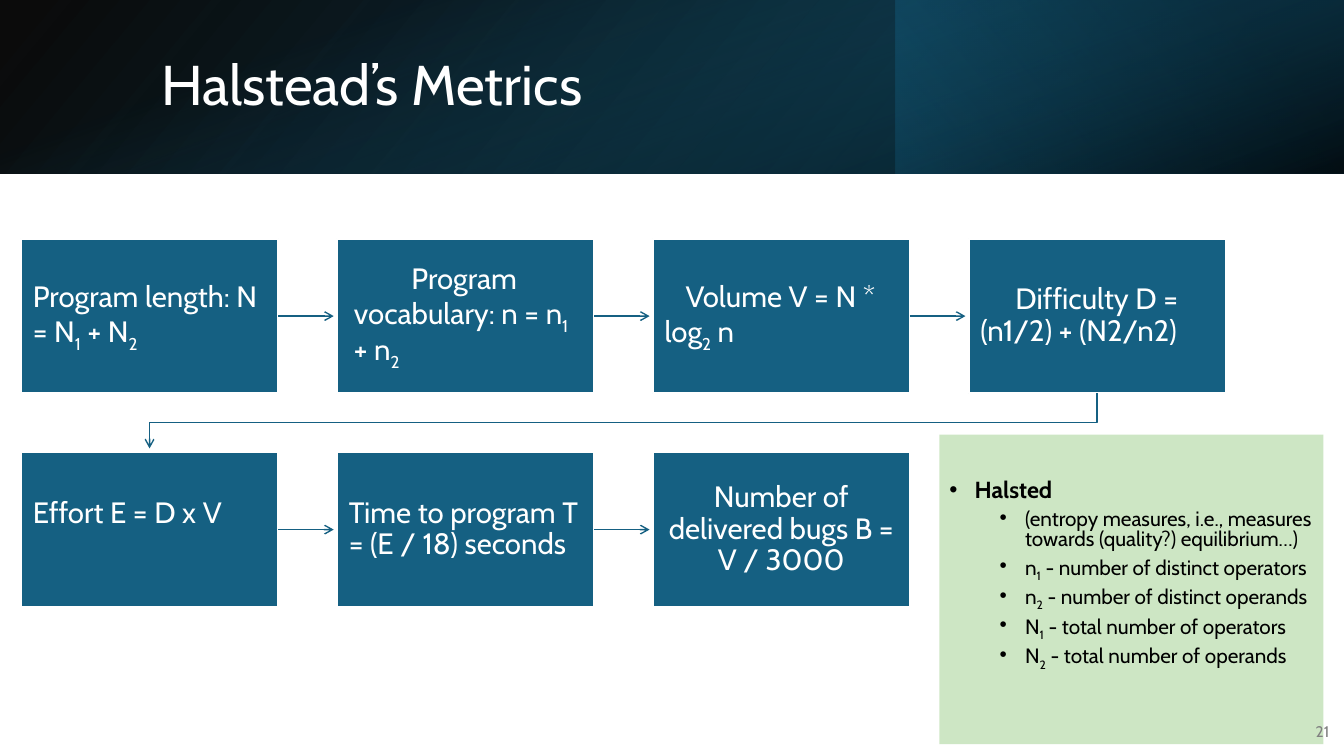
"""Build the slide that chains Halstead's metrics from program length to delivered bugs."""
from dataclasses import dataclass

from lxml.etree import SubElement
from pptx import Presentation
from pptx.dml.color import RGBColor as Rgb
from pptx.enum.shapes import MSO_CONNECTOR as Connector, MSO_SHAPE as Shape
from pptx.enum.text import MSO_ANCHOR as Anchor, MSO_AUTO_SIZE as AutoSize, PP_ALIGN as Align
from pptx.oxml.ns import qn
from pptx.util import Cm, Pt


@dataclass(frozen=True)
class Theme:
    font: str = "Cabin"
    blue: str = "156082"
    deep_blue: str = "104862"
    night_blue: str = "0B3041"
    green: str = "4EA72E"
    gray: str = "808080"
    black: str = "000000"
    white: str = "FFFFFF"
    title_size: float = 40
    step_size: float = 21
    topic_size: float = 16.6
    detail_size: float = 14.8
    number_size: float = 11


@dataclass(frozen=True)
class Stop:
    position: float
    color: str
    opacity: int


@dataclass(frozen=True)
class Band:
    left: float
    width: float
    angle: int
    stops: tuple[Stop, Stop]


@dataclass(frozen=True)
class Step:
    formula: str
    column: int
    row: int
    align: Align = Align.LEFT
    margin: float = 0
    first_indent: float = 0
    bottom_inset: float = 0.33

    @property
    def left(self) -> float:
        return 0.53 + 7.96 * self.column

    @property
    def top(self) -> float:
        return 6.02 + 5.38 * self.row

    @property
    def center(self) -> float:
        return self.left + STEP_WIDTH / 2

    @property
    def middle(self) -> float:
        return self.top + STEP_HEIGHT / 2


@dataclass(frozen=True)
class Note:
    text: str
    level: int = 1


THEME = Theme()
SLIDE_WIDTH, SLIDE_HEIGHT, HEADER_HEIGHT = 33.87, 19.05, 4.37
STEP_WIDTH, STEP_HEIGHT, ARROW_LENGTH = 6.48, 3.89, 1.4

BANDS = (
    Band(0, SLIDE_WIDTH, 40, (Stop(0, THEME.black, 96), Stop(1, THEME.deep_blue, 100))),
    Band(22.58, 11.29, 140, (Stop(0.19, THEME.night_blue, 68), Stop(1, THEME.blue, 79))),
    Band(0, SLIDE_WIDTH, 70, (Stop(0.23, THEME.blue, 0), Stop(0.99, THEME.black, 74))),
)
STEPS = (
    Step("Program length: N = N_1 + N_2", 0, 0),
    Step("Program vocabulary: n = n_1 + n_2", 1, 0, margin=0.13, first_indent=1.45),
    Step("Volume V = N * log_2 n", 2, 0, first_indent=0.53),
    Step("Difficulty D = (n1/2) + (N2/n2)", 3, 0, first_indent=0.88),
    Step("Effort E = D x V", 0, 1, bottom_inset=1.13),
    Step("Time to program T = (E / 18) seconds", 1, 1),
    Step("Number of delivered bugs B = V / 3000", 2, 1, Align.CENTER),
)
NOTES = (
    Note("Halsted", 0),
    Note("(entropy measures, i.e., measures towards (quality?) equilibrium…)"),
    Note("n_1 - number of distinct operators"),
    Note("n_2 - number of distinct operands"),
    Note("N_1 - total number of operators"),
    Note("N_2 - total number of operands"),
)


def style(run, size: float, color: str, bold: bool = False) -> None:
    run.font.name, run.font.size, run.font.bold = THEME.font, Pt(size), bold
    run.font.color.rgb = Rgb.from_string(color)


def write(paragraph, text: str, size: float, color: str, bold: bool = False) -> None:
    """Fill a paragraph, lowering each character that follows an underscore."""
    plain, *lowered = text.split("_")
    paragraph.text = plain
    for part in lowered:
        index = paragraph.add_run()
        index.text = part[0]
        index.font._element.set("baseline", "-25000")
        if part[1:]:
            paragraph.add_run().text = part[1:]
    for run in paragraph.runs:
        style(run, size, color, bold)


def indent(paragraph, margin: float, first: float) -> None:
    properties = paragraph._p.get_or_add_pPr()
    properties.set("marL", str(Cm(margin)))
    properties.set("indent", str(Cm(first)))


def set_opacity(shape, *percents: int) -> None:
    for color, percent in zip(shape._element.spPr.iter(qn("a:srgbClr")), percents):
        SubElement(color, qn("a:alpha")).set("val", str(percent * 1000))


def set_arrow_line(arrow) -> None:
    arrow.line.color.rgb = Rgb.from_string(THEME.blue)
    arrow.line.width = Pt(1)
    SubElement(arrow.line._get_or_add_ln(), qn("a:tailEnd")).set("type", "arrow")


def draw_band(shapes, band: Band) -> None:
    area = shapes.add_shape(Shape.RECTANGLE, Cm(band.left), 0, Cm(band.width), Cm(HEADER_HEIGHT))
    area.shadow.inherit = False
    area.line.fill.background()
    area.fill.gradient()
    area.fill.gradient_angle = 360 - band.angle
    for target, stop in zip(area.fill.gradient_stops, band.stops):
        target.position = stop.position
        target.color.rgb = Rgb.from_string(stop.color)
    set_opacity(area, *(stop.opacity for stop in band.stops))


def draw_step(shapes, step: Step) -> None:
    box = shapes.add_shape(Shape.RECTANGLE, Cm(step.left), Cm(step.top), Cm(STEP_WIDTH), Cm(STEP_HEIGHT))
    box.shadow.inherit = False
    box.fill.solid()
    box.fill.fore_color.rgb = Rgb.from_string(THEME.blue)
    box.line.color.rgb = Rgb.from_string(THEME.white)
    box.line.width = Pt(1.5)
    frame = box.text_frame
    frame.word_wrap, frame.vertical_anchor = True, Anchor.MIDDLE
    frame.margin_left = frame.margin_right = Cm(0.3)
    frame.margin_top, frame.margin_bottom = Cm(0.33), Cm(step.bottom_inset)
    formula = frame.paragraphs[0]
    write(formula, step.formula, THEME.step_size, THEME.white)
    formula.alignment, formula.line_spacing = step.align, 0.9
    indent(formula, step.margin, step.first_indent)


def draw_link(shapes, source: Step, target: Step) -> None:
    """Point right within a row, or bend down to the start of the next row."""
    if source.row == target.row:
        start = source.left + STEP_WIDTH
        arrow = shapes.add_connector(Connector.STRAIGHT, Cm(start), Cm(source.middle),
                                     Cm(start + ARROW_LENGTH), Cm(source.middle))
        SubElement(arrow._element.spPr, qn("a:effectLst"))
    else:
        bottom = source.top + STEP_HEIGHT
        bend = (bottom + target.top) / 2
        route = shapes.build_freeform(Cm(source.center), Cm(bottom))
        route.add_line_segments([(Cm(source.center), Cm(bend)), (Cm(target.center), Cm(bend)),
                                 (Cm(target.center), Cm(target.top - 0.1))], close=False)
        arrow = route.convert_to_shape()
        arrow.shadow.inherit = False
        arrow.fill.background()
    set_arrow_line(arrow)


def place(shape, left: float, top: float, width: float, height: float) -> None:
    shape.left, shape.top, shape.width, shape.height = Cm(left), Cm(top), Cm(width), Cm(height)


def fill_title(title) -> None:
    place(title, 3.81, 0.97, 27.89, 2.44)
    frame = title.text_frame
    frame.auto_size, frame.vertical_anchor = AutoSize.NONE, Anchor.MIDDLE
    heading = frame.paragraphs[0]
    write(heading, "Halstead’s Metrics", THEME.title_size, THEME.white)
    heading.alignment, heading.line_spacing = Align.LEFT, 0.9


def fill_notes(panel) -> None:
    place(panel, 23.67, 10.95, 9.68, 7.8)
    panel.fill.solid()
    panel.fill.fore_color.rgb = Rgb.from_string(THEME.green)
    set_opacity(panel, 28)
    frame = panel.text_frame
    frame.auto_size, frame.vertical_anchor = AutoSize.NONE, Anchor.TOP
    frame.margin_top = Cm(1.17)
    for position, note in enumerate(NOTES):
        item = frame.add_paragraph() if position else frame.paragraphs[0]
        topic = note.level == 0
        write(item, note.text, THEME.topic_size if topic else THEME.detail_size, THEME.black, topic)
        item.level, item.line_spacing = note.level, 0.8
        item.space_before = Pt(5 if position else 0)
        indent(item, 0.64 if topic else 1.91, -0.64)
        SubElement(item._p.get_or_add_pPr(), qn("a:buChar")).set("char", "•")


def draw_page_number(shapes) -> None:
    corner = shapes.add_textbox(Cm(32.51), Cm(17.93), Cm(1.24), Cm(1.02))
    corner.text_frame.vertical_anchor = Anchor.MIDDLE
    corner.text_frame.word_wrap = True
    number = corner.text_frame.paragraphs[0]
    write(number, "21", THEME.number_size, THEME.gray)
    number.alignment = Align.RIGHT


def main() -> None:
    deck = Presentation()
    deck.slide_width, deck.slide_height = Cm(SLIDE_WIDTH), Cm(SLIDE_HEIGHT)
    slide = deck.slides.add_slide(deck.slide_layouts[1])
    shapes, title = slide.shapes, slide.shapes.title
    for band in BANDS:
        draw_band(shapes, band)
    shapes._spTree.append(title._element)
    fill_title(title)
    for step in STEPS:
        draw_step(shapes, step)
    for source, target in zip(STEPS, STEPS[1:]):
        draw_link(shapes, source, target)
    fill_notes(slide.placeholders[1])
    draw_page_number(shapes)
    deck.save("out.pptx")


if __name__ == "__main__":
    main()
